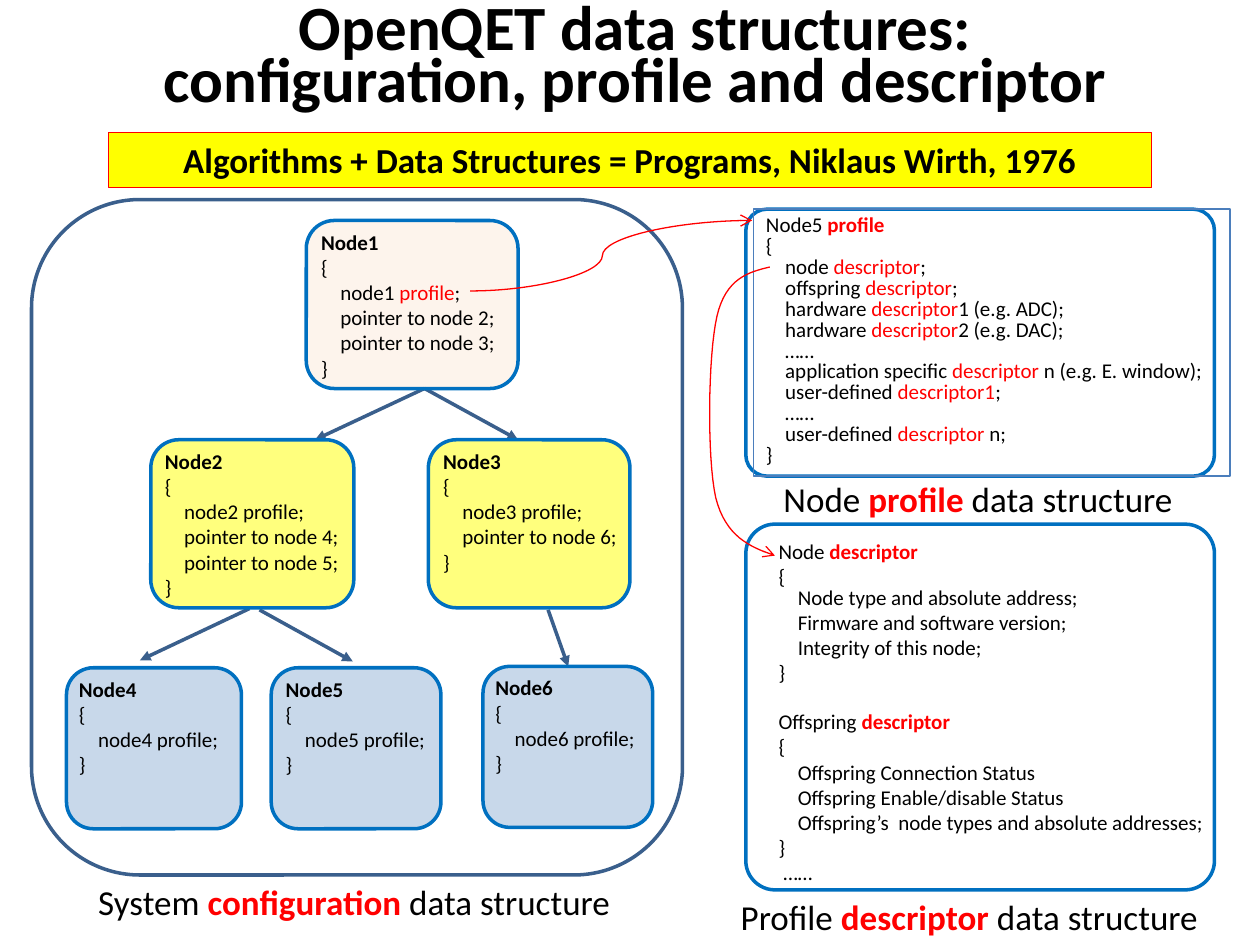
from lxml import etree
from pptx import Presentation
from pptx.dml.color import RGBColor
from pptx.enum.shapes import MSO_CONNECTOR, MSO_SHAPE
from pptx.enum.text import MSO_ANCHOR, PP_ALIGN
from pptx.oxml.ns import qn
from pptx.util import Pt

ROUNDED, RECTANGLE = MSO_SHAPE.ROUNDED_RECTANGLE, MSO_SHAPE.RECTANGLE
STRAIGHT, CURVE = MSO_CONNECTOR.STRAIGHT, MSO_CONNECTOR.CURVE
CENTER, MIDDLE, TOP, LEFT = PP_ALIGN.CENTER, MSO_ANCHOR.MIDDLE, MSO_ANCHOR.TOP, PP_ALIGN.LEFT

BLACK = RGBColor(0x00, 0x00, 0x00)
RED = RGBColor(0xFF, 0x00, 0x00)
YELLOW = RGBColor(0xFF, 0xFF, 0x00)
PEACH = RGBColor(0xFD, 0xEA, 0xDA)
PALE_BLUE = RGBColor(0x95, 0xB3, 0xD7)
BLUE = RGBColor(0x00, 0x70, 0xC0)
NAVY = RGBColor(0x3A, 0x5F, 0x8C)
STEEL = RGBColor(0x4B, 0x7E, 0xBC)

presentation = Presentation()
presentation.slide_width, presentation.slide_height = Pt(720), Pt(540)
slide = presentation.slides.add_slide(presentation.slide_layouts[6])
shapes = slide.shapes


def write_lines(shape, lines, size, spacing=None, bold_first=False, wrap=True):
    """Write one paragraph per line: a leading tab indents it, |bars| mark red
    words, which are bold in lines that are not indented."""
    frame = shape.text_frame
    frame.word_wrap = wrap
    frame.vertical_anchor = TOP
    for number, line in enumerate(lines):
        paragraph = frame.paragraphs[0] if number == 0 else frame.add_paragraph()
        paragraph.alignment = LEFT
        if spacing:
            paragraph.line_spacing = Pt(spacing)
        indented = line.startswith("\t")
        if indented:
            paragraph._p.get_or_add_pPr().set("marL", str(Pt(11)))
        for part, text in enumerate(line.strip("\t").split("|")):
            if not text:
                continue
            accent = part % 2 == 1
            run = paragraph.add_run()
            run.text = text
            run.font.name, run.font.size = "Calibri", Pt(size)
            run.font.color.rgb = RED if accent else BLACK
            run.font.bold = (accent and not indented) or (bold_first and number == 0)


def style_shape(shape, line_color, line_width, fill=None, alpha=None, arrow=None):
    """Set outline, optional fill with alpha in percent, and optional end arrowhead."""
    shape.line.color.rgb, shape.line.width = line_color, Pt(line_width)
    properties = shape._element.spPr
    if arrow:
        etree.SubElement(shape.line._get_or_add_ln(), qn("a:tailEnd"), type=arrow)
    if hasattr(shape, "shadow"):
        shape.shadow.inherit = False
    else:
        etree.SubElement(properties, qn("a:effectLst"))
    if fill is not None:
        shape.fill.solid()
        shape.fill.fore_color.rgb = fill
        if alpha:
            color = properties.find(qn("a:solidFill"))[0]
            etree.SubElement(color, qn("a:alpha"), val=str(alpha * 1000))
    elif hasattr(shape, "fill"):
        shape.fill.background()


# Title; the wider right margin moves the centred lines a little to the left
title = shapes.add_textbox(Pt(62), Pt(6), Pt(618), Pt(60))
title.text_frame.word_wrap = True
title.text_frame.vertical_anchor = MIDDLE
title.text_frame.margin_right = Pt(23)
paragraph = title.text_frame.paragraphs[0]
paragraph.alignment = CENTER
paragraph.line_spacing = Pt(30)
for number, text in enumerate(["OpenQET data structures:", "configuration, profile and descriptor"]):
    if number:
        paragraph.add_line_break()
    run = paragraph.add_run()
    run.text = text
    run.font.name, run.font.size, run.font.bold = "Calibri", Pt(36), True
    run.font.color.rgb = BLACK

# System configuration tree
system_frame = shapes.add_shape(ROUNDED, Pt(18), Pt(114), Pt(372), Pt(386))
style_shape(system_frame, NAVY, 2)

tree_links = [
    (242.6, 222, 180, 251.3), (242.6, 222, 296, 251.3), (142.5, 347.8, 80, 377.3),
    (148.3, 348.5, 201.6, 378), (313.2, 348.5, 324.7, 380.9),
]
for x1, y1, x2, y2 in tree_links:
    link = shapes.add_connector(STRAIGHT, Pt(x1), Pt(y1), Pt(x2), Pt(y2))
    style_shape(link, NAVY, 2, arrow="triangle")

# number, left, top, width, height, text offset, fill, profile, pointers
nodes = [
    (1, 175, 126, 121, 96, 1.4, PEACH, "|profile|", (2, 3)),
    (2, 86.2, 251.3, 116, 96, 1, YELLOW, "profile", (4, 5)),
    (3, 244.8, 251.3, 115.2, 96, 1.4, YELLOW, "profile", (6,)),
    (4, 38, 381.6, 100, 92, 0, PALE_BLUE, "profile", ()),
    (5, 155, 381.6, 97, 92, 1.2, PALE_BLUE, "profile", ()),
    (6, 276, 380.8, 97, 92, 0, PALE_BLUE, "profile", ()),
]
for number, left, top, width, height, offset, fill, profile, pointers in nodes:
    box = shapes.add_shape(ROUNDED, Pt(left), Pt(top), Pt(width), Pt(height))
    style_shape(box, BLUE, 2, fill, alpha=51)
    lines = [f"Node{number}", "{", f"\tnode{number} {profile};"]
    lines += [f"\tpointer to node {target};" for target in pointers] + ["}"]
    label = shapes.add_textbox(Pt(left + offset), Pt(top + 1.4), Pt(138 if offset else 97),
                               Pt(7.2 + 14.4 * len(lines)))
    write_lines(label, lines, 12, 14.4 if number == 1 else None, bold_first=True)

# Node profile and profile descriptor panels
for top, height in [(119.5, 152.6), (299.5, 209)]:
    panel = shapes.add_shape(ROUNDED, Pt(426.2), Pt(top), Pt(267.8), Pt(height))
    panel.adjustments[0] = 0.08
    style_shape(panel, BLUE, 2)

profile_text = shapes.add_shape(RECTANGLE, Pt(430.6), Pt(119.5), Pt(272.2), Pt(152.6))
style_shape(profile_text, STEEL, 0.75)
write_lines(profile_text, [
    "Node5 |profile|", "{",
    "\tnode |descriptor|;",
    "\toffspring |descriptor|;",
    "\thardware |descriptor|1 (e.g. ADC);",
    "\thardware |descriptor|2 (e.g. DAC);",
    "\t……",
    "\tapplication specific |descriptor| n (e.g. E. window);",
    "\tuser-defined |descriptor1|;",
    "\t……",
    "\tuser-defined |descriptor| n;",
    "}",
], 12, 12)

descriptor_text = shapes.add_textbox(Pt(437.8), Pt(304), Pt(262), Pt(207.4))
write_lines(descriptor_text, [
    "Node |descriptor|", "{",
    "\tNode type and absolute address;",
    "\tFirmware and software version;",
    "\tIntegrity of this node;",
    "}",
    "Offspring |descriptor|", "{",
    "\tOffspring Connection Status",
    "\tOffspring Enable/disable Status",
    "\tOffspring’s  node types and absolute addresses;",
    "}",
    " ……",
], 12)
descriptor_text.text_frame.paragraphs[2].line_spacing = Pt(12)
descriptor_text.text_frame.paragraphs[6].space_before = Pt(13.5)

captions = [
    (49, 499.7, 314, "System |configuration |data structure"),
    (440.6, 269.3, 239, "Node |profile |data structure"),
    (416.2, 508.3, 278.6, "Profile |descriptor |data structure"),
]
for left, top, width, text in captions:
    caption = shapes.add_textbox(Pt(left), Pt(top), Pt(width), Pt(31.5))
    write_lines(caption, [text], 20, wrap=False)

# Red arrows from a profile to its structure and from a descriptor to its own
profile_arrow = shapes.add_connector(CURVE, Pt(268.6), Pt(166.3), Pt(429.8), Pt(126))
style_shape(profile_arrow, RED, 0.75, arrow="arrow")
geometry = profile_arrow._element.spPr.find(qn("a:prstGeom"))
etree.SubElement(geometry.get_or_add_avLst(), qn("a:gd"), name="adj1", fmla="val 46900")

curve_segments = [
    [(439.9, 152.6), (427.7, 155.5), (414.7, 159.1), (409.7, 180.7)],
    [(409.7, 180.7), (404.6, 203), (403.9, 261.4), (409, 284.4)],
    [(409, 284.4), (414.7, 306.7), (428.4, 312.5), (442.8, 317.5)],
]
STEPS = 16
curve_points = []
for segment in curve_segments:
    for step in range(1, STEPS + 1):
        t = step / STEPS
        weights = [(1 - t) ** 3, 3 * t * (1 - t) ** 2, 3 * t ** 2 * (1 - t), t ** 3]
        curve_points.append(tuple(
            Pt(sum(weight * point[axis] for weight, point in zip(weights, segment)))
            for axis in (0, 1)))
start_x, start_y = curve_segments[0][0]
builder = shapes.build_freeform(Pt(start_x), Pt(start_y))
builder.add_line_segments(curve_points, close=False)
style_shape(builder.convert_to_shape(), RED, 0.75, arrow="arrow")

# Quotation banner
banner = shapes.add_shape(RECTANGLE, Pt(62), Pt(75.6), Pt(596), Pt(31.5))
style_shape(banner, RED, 0.75, YELLOW)
write_lines(banner, ["Algorithms + Data Structures = Programs, Niklaus Wirth, 1976"], 20, bold_first=True)
banner.text_frame.paragraphs[0].alignment = CENTER

presentation.save("out.pptx")
